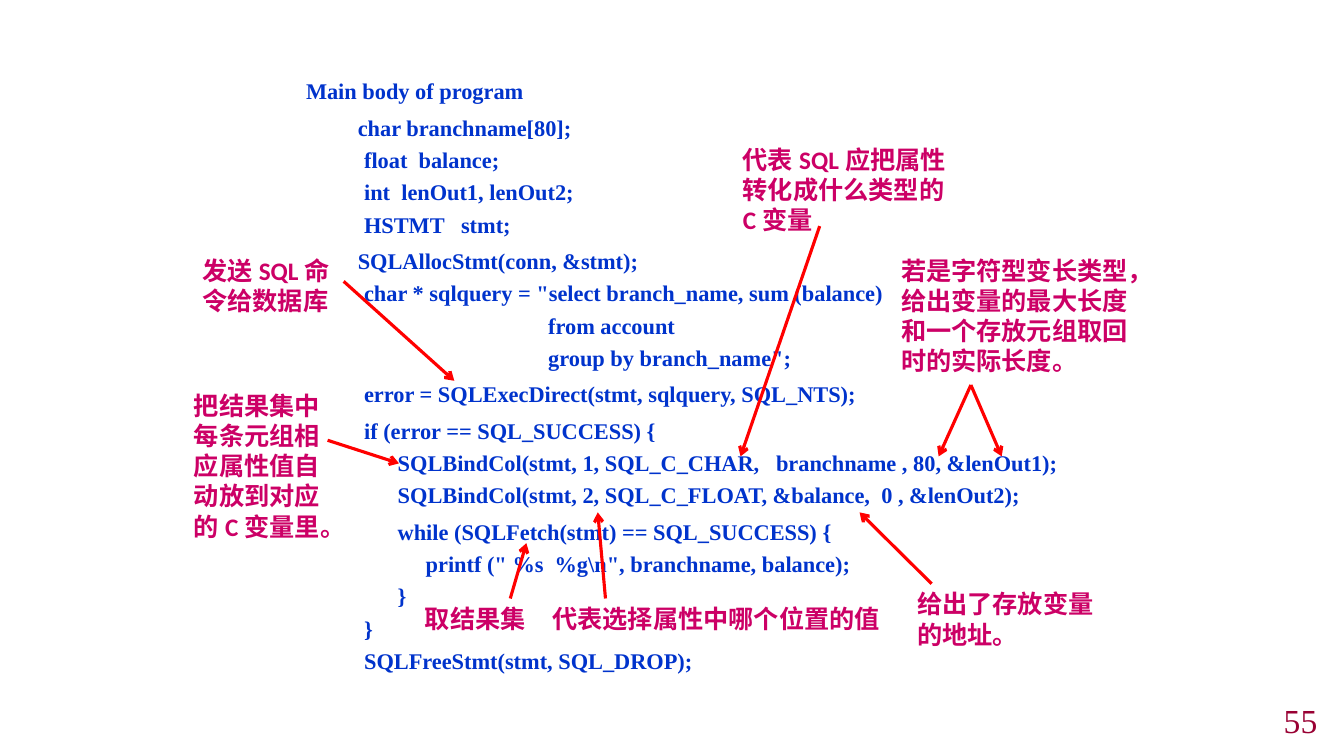
from pptx import Presentation
from pptx.dml.color import RGBColor
from pptx.enum import shapes, text
from pptx.oxml.ns import qn
from pptx.util import Pt
from lxml import etree

THEME = {
    "code": (RGBColor(0x00, 0x33, 0xCC), 16, "Times New Roman", True),
    "note": (RGBColor(0xCC, 0x00, 0x66), 18, "Calibri", True),
    "number": (RGBColor(0x99, 0x00, 0x33), 24, "Times New Roman", False),
    "arrow": RGBColor(0xFF, 0x00, 0x00),
    "arrow_width": 2.25,
}

prs = Presentation()
prs.slide_width, prs.slide_height = Pt(960), Pt(540)
slide = prs.slides.add_slide(prs.slide_layouts[6])


def add_text(box, lines, style):
    """Add a wrapped text box with one paragraph per line."""
    tf = slide.shapes.add_textbox(*map(Pt, box)).text_frame
    tf.word_wrap = True
    tf.text = "\n".join(lines)
    color, size, name, bold = THEME[style]
    for p in tf.paragraphs:
        for r in p.runs:
            r.font.size, r.font.name, r.font.bold = Pt(size), name, bold
            r.font.color.rgb = color
    return tf


# Program listing: each block is a list of (indent, line)
BODY, INNER, PRINT, QUERY = 41.5, 65.5, 85.5, 173
blocks = [
    [(0, "Main body of program")],
    [(37, "char branchname[80];"),
     (BODY, "float  balance;"),
     (BODY, "int  lenOut1, lenOut2;"),
     (BODY, "HSTMT   stmt;")],
    [(37, "SQLAllocStmt(conn, &stmt);"),
     (BODY, 'char * sqlquery = "select branch_name, sum (balance)'),
     (QUERY, "from account"),
     (QUERY, 'group by branch_name";')],
    [(BODY, "error = SQLExecDirect(stmt, sqlquery, SQL_NTS);")],
    [(BODY, "if (error == SQL_SUCCESS) {"),
     (INNER, "SQLBindCol(stmt, 1, SQL_C_CHAR,   branchname , 80, &lenOut1);"),
     (INNER, "SQLBindCol(stmt, 2, SQL_C_FLOAT, &balance,  0 , &lenOut2);")],
    [(INNER, "while (SQLFetch(stmt) == SQL_SUCCESS) {"),
     (PRINT, 'printf (" %s  %g\\n", branchname, balance);'),
     (INNER, "}"),
     (BODY, "}"),
     (BODY, "SQLFreeStmt(stmt, SQL_DROP);")],
]
rows = [(indent, line, i == 0) for block in blocks
        for i, (indent, line) in enumerate(block)]
tf = add_text((211.5, 48, 567, 448), [line for _, line, _ in rows], "code")
for p, (indent, _, starts_block) in zip(tf.paragraphs, rows):
    p.line_spacing = Pt(23)
    p.space_before = Pt(3.2 if starts_block else 0)
    p._p.get_or_add_pPr().set("marL", str(Pt(indent)))

# Callouts: text box, wording, arrows from the note to the code
callouts = [
    ((137.5, 178.5, 119, 51), "发送SQL命令给数据库",
     [(245.5, 201, 324.5, 272)]),
    ((296.5, 427.5, 96.5, 29), "取结果集",
     [(364.5, 427.5, 376, 388)]),
    ((131.5, 275, 119, 117), "把结果集中每条元组相应属性值自动放到对应的C变量里。",
     [(234, 314.5, 285, 331)]),
    ((387.5, 427.5, 255, 29), "代表选择属性中哪个位置的值",
     [(432.5, 427.5, 427, 366)]),
    ((523.5, 99.5, 164, 73), "代表SQL应把属性转化成什么类型的C变量",
     [(585.5, 161.5, 529, 326)]),
    ((648, 417, 153.5, 51), "给出了存放变量的地址。",
     [(665.5, 417, 614, 366)]),
    ((636.5, 178.5, 187, 94.5),
     "若是字符型变长类型，给出变量的最大长度和一个存放元组取回时的实际长度。",
     [(693.5, 275, 670.5, 326), (693.5, 275, 715.5, 326)]),
]
for box, wording, arrows in callouts:
    add_text(box, [wording], "note")
    for ends in arrows:
        sp = slide.shapes.add_connector(
            shapes.MSO_CONNECTOR.STRAIGHT, *map(Pt, ends))
        sp.line.color.rgb = THEME["arrow"]
        sp.line.width = Pt(THEME["arrow_width"])
        ln = sp.line._get_or_add_ln()
        etree.SubElement(ln, qn("a:tailEnd"), type="arrow")
        etree.SubElement(sp._element.spPr, qn("a:effectLst"))

# Page number
tf = add_text((744, 503.5, 204, 22), ["55"], "number")
tf.vertical_anchor = text.MSO_ANCHOR.MIDDLE
tf.paragraphs[0].alignment = text.PP_ALIGN.RIGHT

prs.save("out.pptx")
